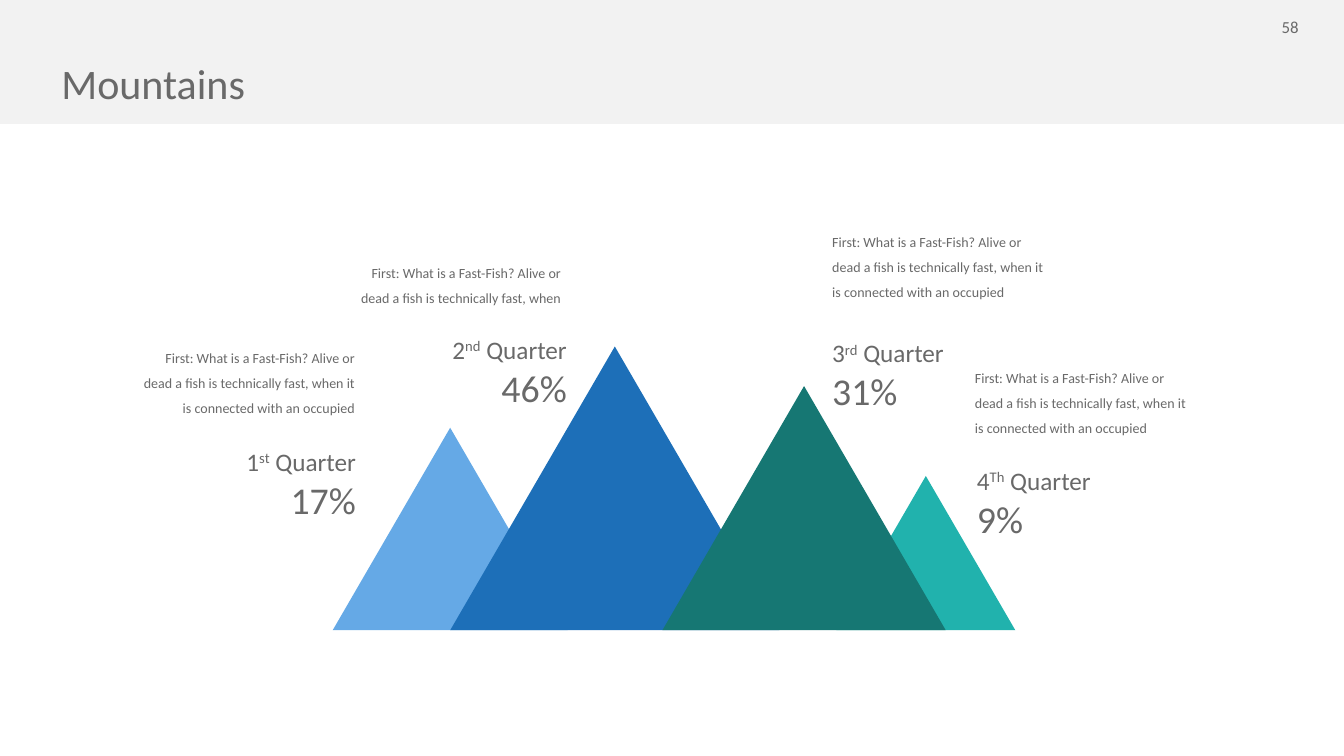
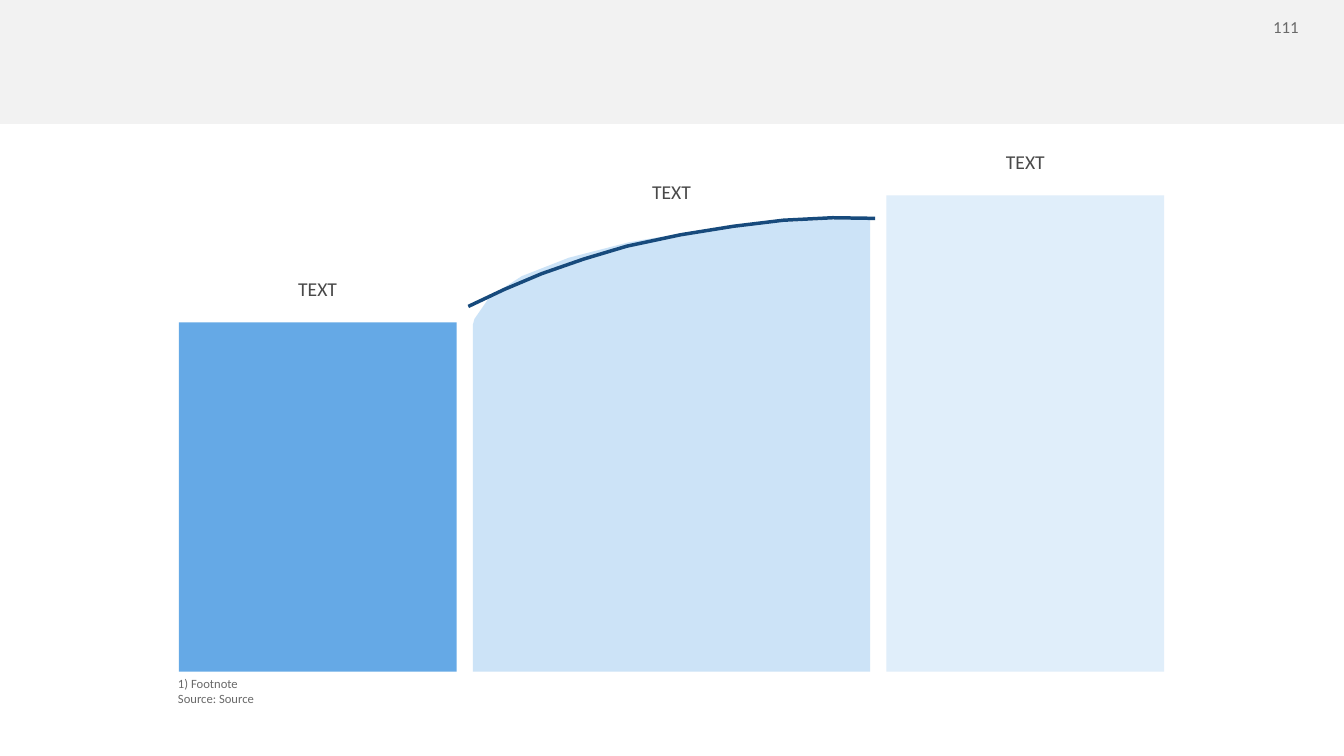
import pptx
import pptx.dml.color
import pptx.enum.shapes
import pptx.enum.text
import pptx.util

Pt = pptx.util.Pt
Align = pptx.enum.text.PP_ALIGN
Anchor = pptx.enum.text.MSO_ANCHOR
Fit = pptx.enum.text.MSO_AUTO_SIZE
Shape = pptx.enum.shapes.MSO_SHAPE

WIDE, HIGH = 1919.52, 1080
FONT = "Calibri"
GREY, DARK = "696969", "494949"
BAND, SKY, BLUE = "F2F2F2", "65A9E6", "1D6FB8"
AQUA, TEAL = "21B2AD", "167773"
MID, PALE, NAVY = "CCE3F7", "E0EEFA", "174A7C"


def color(code):
    return pptx.dml.color.RGBColor.from_string(code)


def bezier(a, b, c, d, steps):
    """Points along a cubic curve, without its first point."""
    points = []
    for i in range(1, steps + 1):
        t = i / steps
        u = 1 - t
        points.append(tuple(
            u**3 * p + 3 * u * u * t * q + 3 * u * t * t * r + t**3 * s
            for p, q, r, s in zip(a, b, c, d)))
    return points


class Deck:
    """Holds the shared style and the slide being drawn."""

    def __init__(self):
        self.show = pptx.Presentation()
        self.show.slide_width = Pt(WIDE)
        self.show.slide_height = Pt(HIGH)
        self.slide = None

    def page(self, number, title=None):
        self.slide = self.show.slides.add_slide(self.show.slide_layouts[6])
        self.block(Shape.RECTANGLE, -12, 0, 1945, 177, BAND)
        self.text(1777, 17.3, 92, 44, [number], 24, align=Align.RIGHT,
                  inset=(14.4, 7.2))
        if title:
            self.text(80.6, 86.4, 1757.5, 90.7, [title], 60, space=0.9,
                      grow=False)

    def paint(self, shape, fill):
        shape.shadow.inherit = False
        shape.fill.solid()
        shape.fill.fore_color.rgb = color(fill)
        shape.line.fill.background()

    def block(self, kind, left, top, width, height, fill):
        shape = self.slide.shapes.add_shape(
            kind, Pt(left), Pt(top), Pt(width), Pt(height))
        self.paint(shape, fill)

    def trace(self, points, close):
        first, *rest = [(Pt(x), Pt(y)) for x, y in points]
        pen = self.slide.shapes.build_freeform(*first)
        pen.add_line_segments(rest, close=close)
        return pen.convert_to_shape()

    def outline(self, points, fill):
        self.paint(self.trace(points, True), fill)

    def stroke(self, points, ink, weight):
        shape = self.trace(points, False)
        shape.shadow.inherit = False
        shape.fill.background()
        shape.line.color.rgb = color(ink)
        shape.line.width = Pt(weight)

    def frame(self, left, top, width, height, wrap=True, grow=True,
              inset=(7.2, 3.6), anchor=Anchor.TOP):
        box = self.slide.shapes.add_textbox(
            Pt(left), Pt(top), Pt(width), Pt(height))
        frame = box.text_frame
        frame.word_wrap = wrap
        frame.auto_size = Fit.SHAPE_TO_FIT_TEXT if grow else Fit.NONE
        frame.vertical_anchor = anchor
        frame.margin_left = frame.margin_right = Pt(inset[0])
        frame.margin_top = frame.margin_bottom = Pt(inset[1])
        return frame

    def style(self, para, size, align, ink=GREY, space=None):
        para.alignment = align
        if space:
            para.line_spacing = space
        for run in para.runs:
            run.font.name = FONT
            run.font.size = Pt(size)
            run.font.color.rgb = color(ink)

    def text(self, left, top, width, height, lines, size, align=Align.LEFT,
             ink=GREY, space=None, **layout):
        frame = self.frame(left, top, width, height, **layout)
        frame.text = "\n".join(lines)
        for para in frame.paragraphs:
            self.style(para, size, align, ink, space)

    def quarter(self, left, top, width, digit, suffix, share, align):
        """Ordinal with a raised suffix, above a large percentage."""
        frame = self.frame(left, top, width, 116.6, wrap=False)
        head = frame.paragraphs[0]
        for part in (digit, suffix, " Quarter"):
            head.add_run().text = part
        self.style(head, 36, align)
        head.runs[1].font._element.set("baseline", "30000")
        para = frame.add_paragraph()
        para.text = share
        self.style(para, 54, align)


def peaks(deck):
    deck.page("58", "Mountains")
    base, slope = 900.3, 0.862
    for left, width, fill in (
            (475.2, 335.5, SKY), (643, 470.2, BLUE),
            (1194.5, 255.6, AQUA), (946.1, 404.6, TEAL)):
        height = width * slope
        deck.block(Shape.ISOSCELES_TRIANGLE, left, base - height,
                   width, height, fill)

    for quarter in (
            (341.3, 633.6, 174.2, "1", "st", "17%", Align.RIGHT),
            (633.8, 473.8, 182.9, "2", "nd", "46%", Align.RIGHT),
            (1181.5, 478.8, 177.8, "3", "rd", "31%", Align.LEFT),
            (1388.2, 661, 181.4, "4", "Th", "9%", Align.LEFT)):
        deck.quarter(*quarter)

    short = ("First: What is a Fast-Fish? Alive or dead a fish is "
             "technically fast, when")
    full = short + " it is connected with an occupied"
    for left, top, height, note, align in (
            (196.4, 483.1, 112.3, full, Align.RIGHT),
            (490.8, 361.8, 76.3, short, Align.RIGHT),
            (1385.3, 511.9, 112.3, full, Align.LEFT),
            (1181.5, 317.5, 112.3, full, Align.LEFT)):
        deck.text(left, top, 317.5, height, [note], 20, align, space=1.5)


def growth(deck):
    deck.page("111")
    base, width = 959.6, 396.7
    rise = bezier((677.5, 455.8), (696.2, 390.2), (871.9, 334.1),
                  (1116, 317.5), 6)
    deck.outline([(675.4, base), (675.4, 463.7), (677.5, 455.8), *rise,
                  (1188, 313.9), (1242.7, 313.2), (1242.7, base)], MID)
    for left, top, fill in ((255.6, 460.6, SKY), (1265.8, 279.2, PALE)):
        deck.block(Shape.RECTANGLE, left, top, width, base - top, fill)

    sweep = [(668.9, 437.8)]
    for curve in (((719.3, 413.3), (770.4, 389.5), (833.8, 370.1)),
                  ((882, 351.4), (978.5, 332.6), (1047.6, 323.3)),
                  ((1116, 312), (1197.4, 309), (1250, 312))):
        sweep += bezier(sweep[-1], *curve, 3)
    deck.stroke(sweep, NAVY, 5)

    for i, top in ((2, 211), (1, 253.4), (0, 392.4)):
        deck.text(418.3 + i * 505.4, top, 70.6, 41, ["TEXT"], 28,
                  Align.CENTER, DARK, wrap=False)
    deck.text(239.8, 957.8, 1438.6, 58.3, ["1) Footnote", "Source: Source"],
              18, inset=(14.4, 7.2), anchor=Anchor.BOTTOM)


def main():
    deck = Deck()
    peaks(deck)
    growth(deck)
    deck.show.save("out.pptx")


if __name__ == "__main__":
    main()
